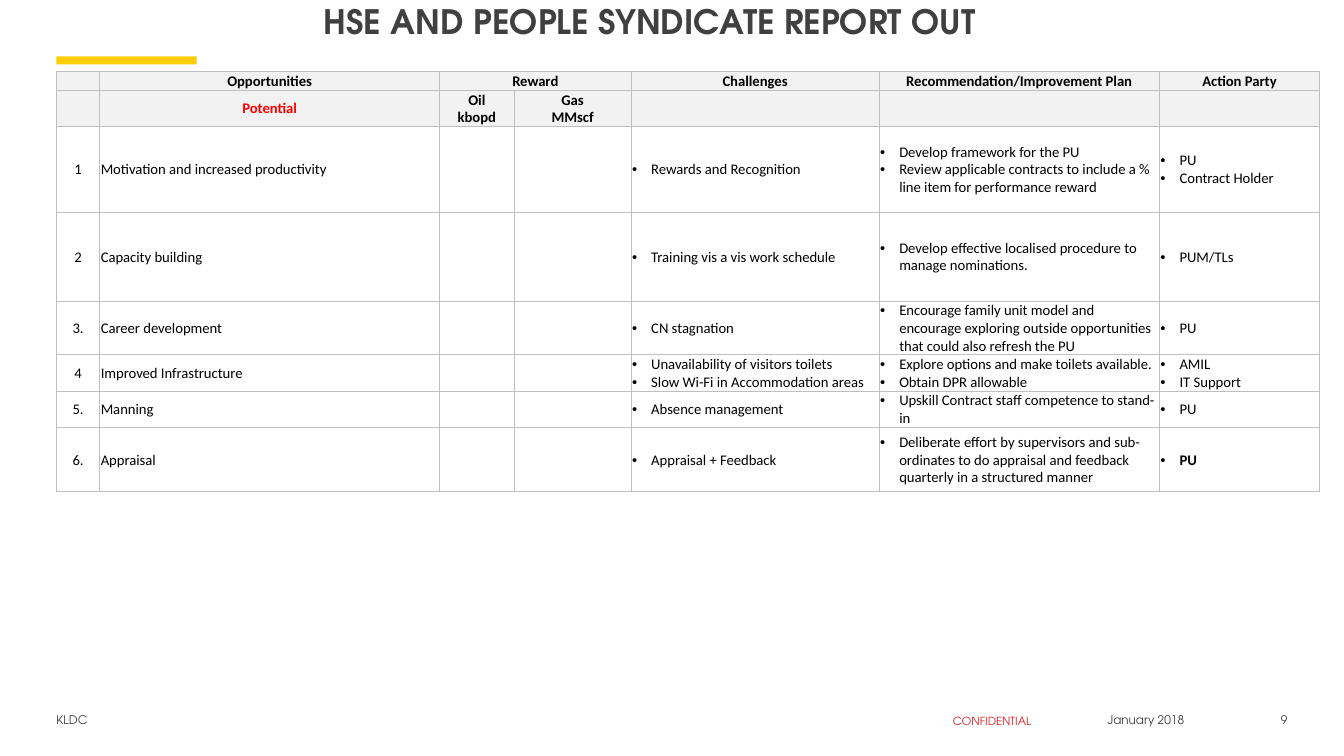
"""Build the HSE and people syndicate report slide."""
from dataclasses import dataclass

from lxml.etree import SubElement
from pptx import Presentation
from pptx.dml.color import RGBColor
from pptx.enum.shapes import MSO_SHAPE
from pptx.enum.text import MSO_ANCHOR, PP_ALIGN
from pptx.oxml.ns import qn
from pptx.slide import Slide
from pptx.table import Table, _Cell
from pptx.text.text import _Paragraph
from pptx.util import Inches, Pt

HEADING_FONT = "TeX Gyre Adventor"
TABLE_FONT = "Calibri"
TABLE_SIZE = 10.5
GREY, RED, YELLOW = "404040", "DD1D21", "FBCE07"
BLACK, POTENTIAL_RED = "000000", "FF0000"
HEADER_FILL, BORDER = "F2F2F2", "BFBFBF"
BULLET_INDENT = Inches(0.19)
COLUMN_WIDTHS = (0.43, 3.37, 0.74, 1.16, 2.46, 2.78, 1.59)
ROW_HEIGHTS = (0.17, 0.34, 0.85, 0.88, 0.4, 0.33, 0.33, 0.64)


@dataclass(frozen=True)
class Label:
    text: str
    left: float
    top: float
    width: float
    height: float
    size: float
    color: str = GREY
    align: PP_ALIGN = PP_ALIGN.LEFT
    bold: bool = False
    inset: float = 0


@dataclass(frozen=True)
class Opportunity:
    number: str
    name: str
    challenges: tuple[str, ...]
    plans: tuple[str, ...]
    parties: tuple[str, ...]
    bold_party: bool = False


LABELS = (
    Label("HSE AND PEOPLE SYNDICATE REPORT OUT", 0.56, 0.01, 12.22, 0.82, 24, bold=True, inset=2.65),
    Label("KLDC", 0.56, 7.07, 3.67, 0.26, 8.5),
    Label("CONFIDENTIAL", 9.25, 7.09, 1.18, 0.19, 8, RED, PP_ALIGN.CENTER),
    Label("January 2018", 10.58, 7.07, 1.57, 0.26, 8.5, align=PP_ALIGN.CENTER),
    Label("9", 12.38, 7.07, 0.39, 0.26, 8.5, align=PP_ALIGN.RIGHT),
)

HEADERS = (
    ("", "Opportunities", "Reward", "", "Challenges", "Recommendation/Improvement Plan", "Action Party"),
    ("", "Potential", "Oil\nkbopd", "Gas\nMMscf", "", "", ""),
)

OPPORTUNITIES = (
    Opportunity(
        "1", "Motivation and increased productivity", ("Rewards and Recognition",),
        ("Develop framework for the PU",
         "Review applicable contracts to include a % line item for performance reward"),
        ("PU", "Contract Holder")),
    Opportunity(
        "2", "Capacity building", ("Training vis a vis work schedule",),
        ("Develop effective localised procedure to manage nominations.",), ("PUM/TLs",)),
    Opportunity(
        "3.", "Career development", ("CN stagnation",),
        ("Encourage family unit model and encourage exploring outside opportunities "
         "that could also refresh the PU",), ("PU",)),
    Opportunity(
        "4", "Improved Infrastructure",
        ("Unavailability of visitors toilets", "Slow Wi-Fi in Accommodation areas"),
        ("Explore options and make toilets available.", "Obtain DPR allowable"),
        ("AMIL", "IT Support")),
    Opportunity(
        "5.", "Manning", ("Absence management",),
        ("Upskill Contract staff competence to stand- in",), ("PU",)),
    Opportunity(
        "6.", "Appraisal", ("Appraisal + Feedback",),
        ("Deliberate effort by supervisors and sub-ordinates to do appraisal and feedback "
         "quarterly in a structured manner",), ("PU",), bold_party=True),
)


def rgb(value: str) -> RGBColor:
    return RGBColor.from_string(value)


def add_run(paragraph: _Paragraph, text: str, font: str, size: float, color: str, bold: bool) -> None:
    run = paragraph.add_run()
    run.text = text
    run.font.name = font
    run.font.size = Pt(size)
    run.font.bold = bold
    run.font.color.rgb = rgb(color)


def add_label(slide: Slide, label: Label) -> None:
    box = slide.shapes.add_textbox(
        Inches(label.left), Inches(label.top), Inches(label.width), Inches(label.height))
    frame = box.text_frame
    frame.word_wrap = True
    frame.margin_left = Inches(label.inset)
    frame.margin_right = frame.margin_top = frame.margin_bottom = 0
    paragraph = frame.paragraphs[0]
    paragraph.alignment = label.align
    add_run(paragraph, label.text, HEADING_FONT, label.size, label.color, label.bold)


def add_accent(slide: Slide) -> None:
    accent = slide.shapes.add_shape(
        MSO_SHAPE.RECTANGLE, Inches(0.56), Inches(0.56), Inches(1.39), Inches(0.08))
    accent.shadow.inherit = False
    accent.fill.solid()
    accent.fill.fore_color.rgb = rgb(YELLOW)
    accent.line.fill.background()


def style_cell(cell: _Cell, is_header: bool) -> None:
    cell.vertical_anchor = MSO_ANCHOR.MIDDLE
    cell.margin_left = cell.margin_right = cell.margin_top = Inches(0.01)
    cell.margin_bottom = 0
    properties = cell._tc.get_or_add_tcPr()
    for side in ("a:lnL", "a:lnR", "a:lnT", "a:lnB"):
        edge = SubElement(properties, qn(side), w=str(Pt(0.5)))
        SubElement(SubElement(edge, qn("a:solidFill")), qn("a:srgbClr"), val=BORDER)
    if is_header:
        cell.fill.solid()
        cell.fill.fore_color.rgb = rgb(HEADER_FILL)
    else:
        cell.fill.background()
    SubElement(cell.text_frame.paragraphs[0]._p, qn("a:endParaRPr"), sz=str(int(TABLE_SIZE * 100)))


def write_cell(cell: _Cell, text: str, align: PP_ALIGN, color: str = BLACK, bold: bool = False) -> None:
    paragraph = cell.text_frame.paragraphs[0]
    paragraph.alignment = align
    for index, line in enumerate(text.split("\n")):
        if index:
            paragraph.add_line_break()
        add_run(paragraph, line, TABLE_FONT, TABLE_SIZE, color, bold)


def write_bullets(cell: _Cell, items: tuple[str, ...], bold: bool = False) -> None:
    frame = cell.text_frame
    for index, item in enumerate(items):
        paragraph = frame.add_paragraph() if index else frame.paragraphs[0]
        properties = paragraph._p.get_or_add_pPr()
        properties.set("marL", str(BULLET_INDENT))
        properties.set("indent", str(-BULLET_INDENT))
        SubElement(properties, qn("a:buFont"), typeface="Arial")
        SubElement(properties, qn("a:buChar"), char="•")
        add_run(paragraph, item, TABLE_FONT, TABLE_SIZE, BLACK, bold)


def write_opportunity(table: Table, row: int, opportunity: Opportunity) -> None:
    write_cell(table.cell(row, 0), opportunity.number, PP_ALIGN.CENTER)
    write_cell(table.cell(row, 1), opportunity.name, PP_ALIGN.LEFT)
    write_bullets(table.cell(row, 4), opportunity.challenges)
    write_bullets(table.cell(row, 5), opportunity.plans)
    write_bullets(table.cell(row, 6), opportunity.parties, opportunity.bold_party)


def add_report_table(slide: Slide) -> None:
    table = slide.shapes.add_table(
        len(ROW_HEIGHTS), len(COLUMN_WIDTHS), Inches(0.56), Inches(0.71),
        Inches(sum(COLUMN_WIDTHS)), Inches(sum(ROW_HEIGHTS))).table
    table.first_row = table.horz_banding = False
    for column, width in zip(table.columns, COLUMN_WIDTHS):
        column.width = Inches(width)
    for index, (row, height) in enumerate(zip(table.rows, ROW_HEIGHTS)):
        row.height = Inches(height)
        for cell in row.cells:
            style_cell(cell, index < len(HEADERS))
    table.cell(0, 2).merge(table.cell(0, 3))
    for row_index, headings in enumerate(HEADERS):
        for column_index, heading in enumerate(headings):
            if heading:
                color = POTENTIAL_RED if heading == "Potential" else BLACK
                write_cell(table.cell(row_index, column_index), heading, PP_ALIGN.CENTER, color, True)
    for row_index, opportunity in enumerate(OPPORTUNITIES, len(HEADERS)):
        write_opportunity(table, row_index, opportunity)


def main() -> None:
    presentation = Presentation()
    presentation.slide_width = Inches(13.33)
    presentation.slide_height = Inches(7.5)
    slide = presentation.slides.add_slide(presentation.slide_layouts[6])
    add_accent(slide)
    for label in LABELS:
        add_label(slide, label)
    add_report_table(slide)
    presentation.save("out.pptx")


if __name__ == "__main__":
    main()
